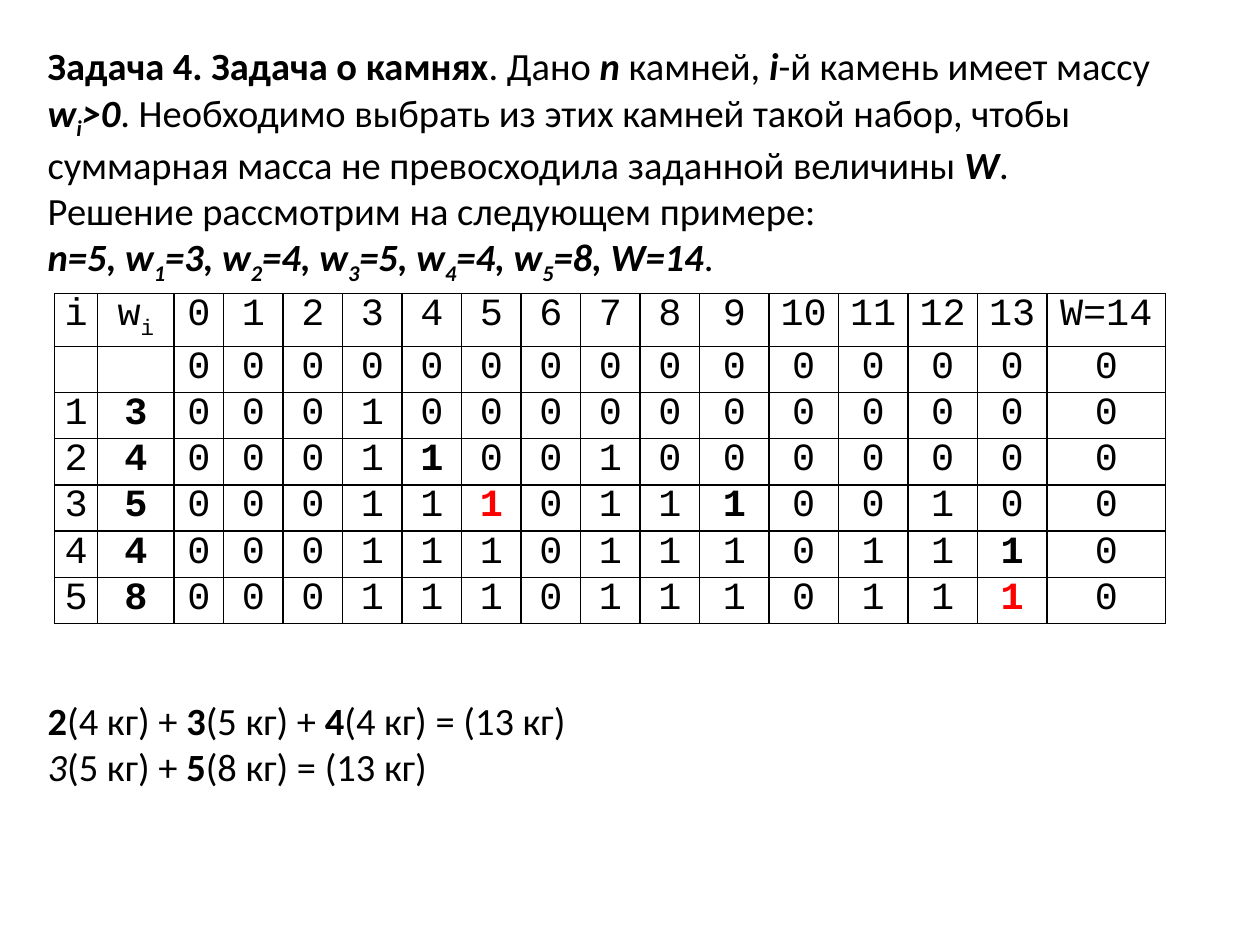
"""Build a slide on the stone selection problem with its solution table."""
from lxml import etree
from pptx import Presentation
from pptx.dml.color import RGBColor
from pptx.enum.text import MSO_AUTO_SIZE, PP_ALIGN
from pptx.oxml.ns import qn
from pptx.util import Pt

CENTER = PP_ALIGN.CENTER
FIT_SHAPE = MSO_AUTO_SIZE.SHAPE_TO_FIT_TEXT
BLACK, RED = "000000", "FF0000"


def add_runs(paragraph, runs, font_name):
    """Add (text, style) runs; style letters: b bold, i italic, s subscript, r red."""
    for text, style in runs:
        run = paragraph.add_run()
        run.text = text
        font = run.font
        font.name, font.size = font_name, Pt(22)
        font.bold, font.italic = "b" in style, "i" in style
        font.color.rgb = RGBColor.from_string(RED if "r" in style else BLACK)
        if "s" in style:
            font._element.set("baseline", "-25000")


def add_borders(cell):
    """Draw a thin black line on all four sides of a cell."""
    properties = cell._tc.get_or_add_tcPr()
    for position, side in enumerate(("a:lnL", "a:lnR", "a:lnT", "a:lnB")):
        line = etree.Element(qn(side), w=str(Pt(1)))
        fill = etree.SubElement(line, qn("a:solidFill"))
        etree.SubElement(fill, qn("a:srgbClr"), val=BLACK)
        properties.insert(position, line)


presentation = Presentation()
presentation.slide_width, presentation.slide_height = Pt(720), Pt(540)
slide = presentation.slides.add_slide(presentation.slide_layouts[6])

weights = [("n=5, w", "bi")]
for number, ending in enumerate(("=3, w", "=4, w", "=5, w", "=4, w", "=8, W=14"), 1):
    weights += [(str(number), "bis"), (ending, "bi")]
weights.append((".", ""))

problem = [
    [
        ("Задача 4. Задача о камнях", "b"), (". Дано ", ""), ("n", "bi"),
        (" камней, ", ""), ("i", "bi"), ("-й камень имеет массу ", ""),
        ("w", "bi"), ("i", "bis"), (">0", "bi"),
        (". Необходимо выбрать из этих камней такой набор, чтобы "
         "суммарная масса не превосходила заданной величины ", ""),
        ("W", "bi"), (".", ""),
    ],
    [("Решение рассмотрим на следующем примере:", "")],
    weights,
]
answers = [
    [("2", "b"), ("(4 кг) + ", ""), ("3", "b"), ("(5 кг) + ", ""),
     ("4", "b"), ("(4 кг) = (13 кг)", "")],
    [("3", "i"), ("(5 кг) + ", ""), ("5", "b"), ("(8 кг) = (13 кг)", "")],
]

for top, height, paragraphs in ((20.7, 140.4, problem), (394.6, 60.5, answers)):
    text_box = slide.shapes.add_textbox(Pt(20.2), Pt(top), Pt(674.6), Pt(height))
    text_frame = text_box.text_frame
    text_frame.word_wrap = True
    text_frame.auto_size = FIT_SHAPE
    for index, runs in enumerate(paragraphs):
        paragraph = text_frame.add_paragraph() if index else text_frame.paragraphs[0]
        add_runs(paragraph, runs, "Calibri")

rows = [
    ["i", "wi", *map(str, range(14)), "W=14"],
    ["", "", *"000000000000000"],
    [*"13000100000000000"],
    [*"24000110010000000"],
    [*"35000111011100100"],
    [*"44000111011101110"],
    [*"58000111011101110"],
]
highlights = {(3, 6): "b", (4, 7): "br", (4, 11): "b", (5, 15): "b", (6, 15): "br"}
column_widths = [24.6, 43.7, 28.4] + [34] * 8 + [39.7] * 5 + [68]
row_heights = [22.3] + [23.8] * 6

table_frame = slide.shapes.add_table(
    len(rows), len(column_widths), Pt(31.2), Pt(167.8),
    Pt(sum(column_widths)), Pt(sum(row_heights)))
table = table_frame.table
table.first_row = table.horz_banding = False
for column, width in zip(table.columns, column_widths):
    column.width = Pt(width)
for row, height in zip(table.rows, row_heights):
    row.height = Pt(height)

for row_index, values in enumerate(rows):
    for column_index, value in enumerate(values):
        cell = table.cell(row_index, column_index)
        cell.fill.background()
        cell.margin_left = cell.margin_right = Pt(5)
        cell.margin_top = cell.margin_bottom = 0
        add_borders(cell)
        paragraph = cell.text_frame.paragraphs[0]
        paragraph.alignment = CENTER
        paragraph.space_before = paragraph.space_after = Pt(2)
        weight_style = "b" if column_index == 1 and row_index > 1 else ""
        style = highlights.get((row_index, column_index), weight_style)
        if value == "wi":
            add_runs(paragraph, [("w", ""), ("i", "s")], "Courier New")
        elif value:
            add_runs(paragraph, [(value, style)], "Courier New")

presentation.save("out.pptx")
